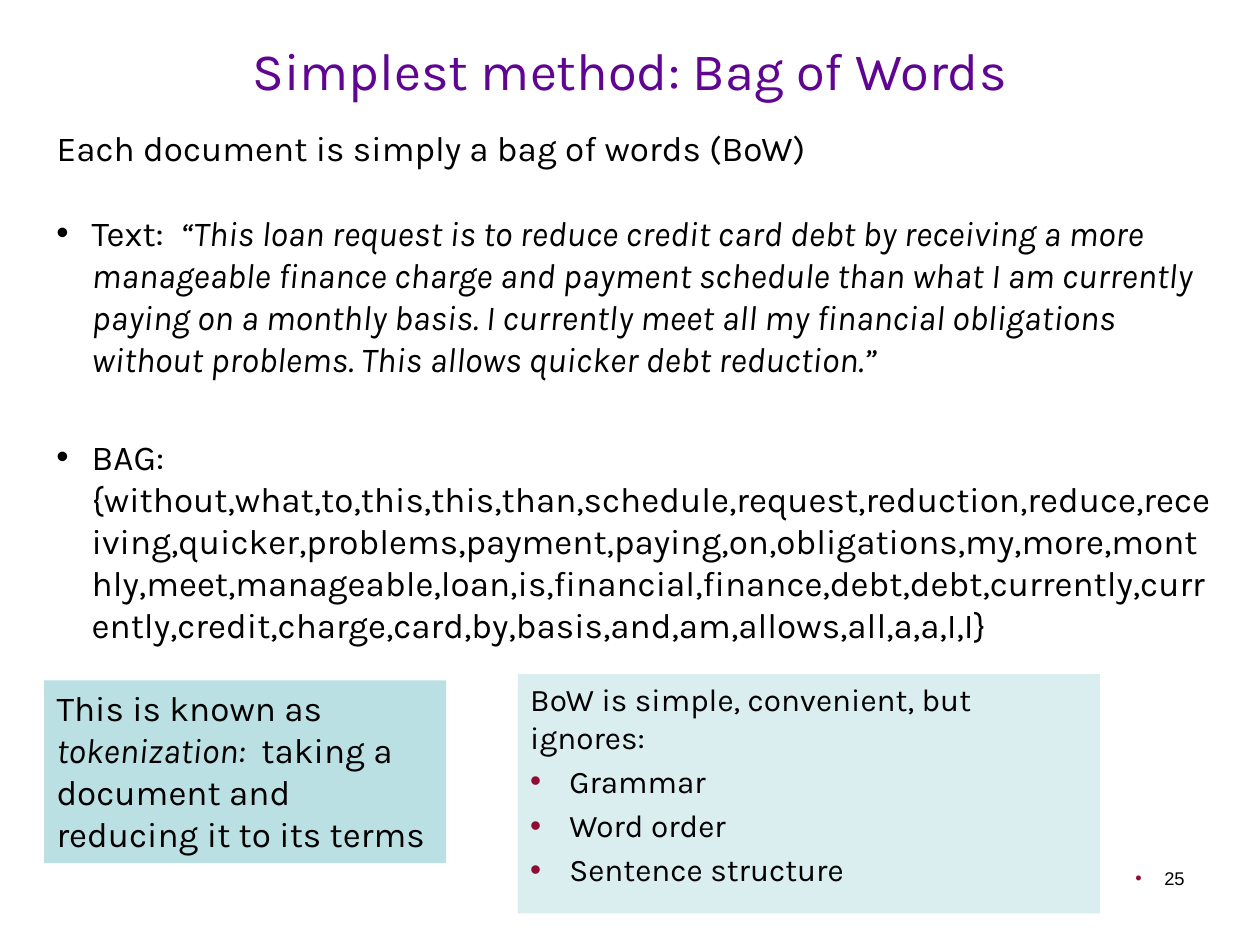
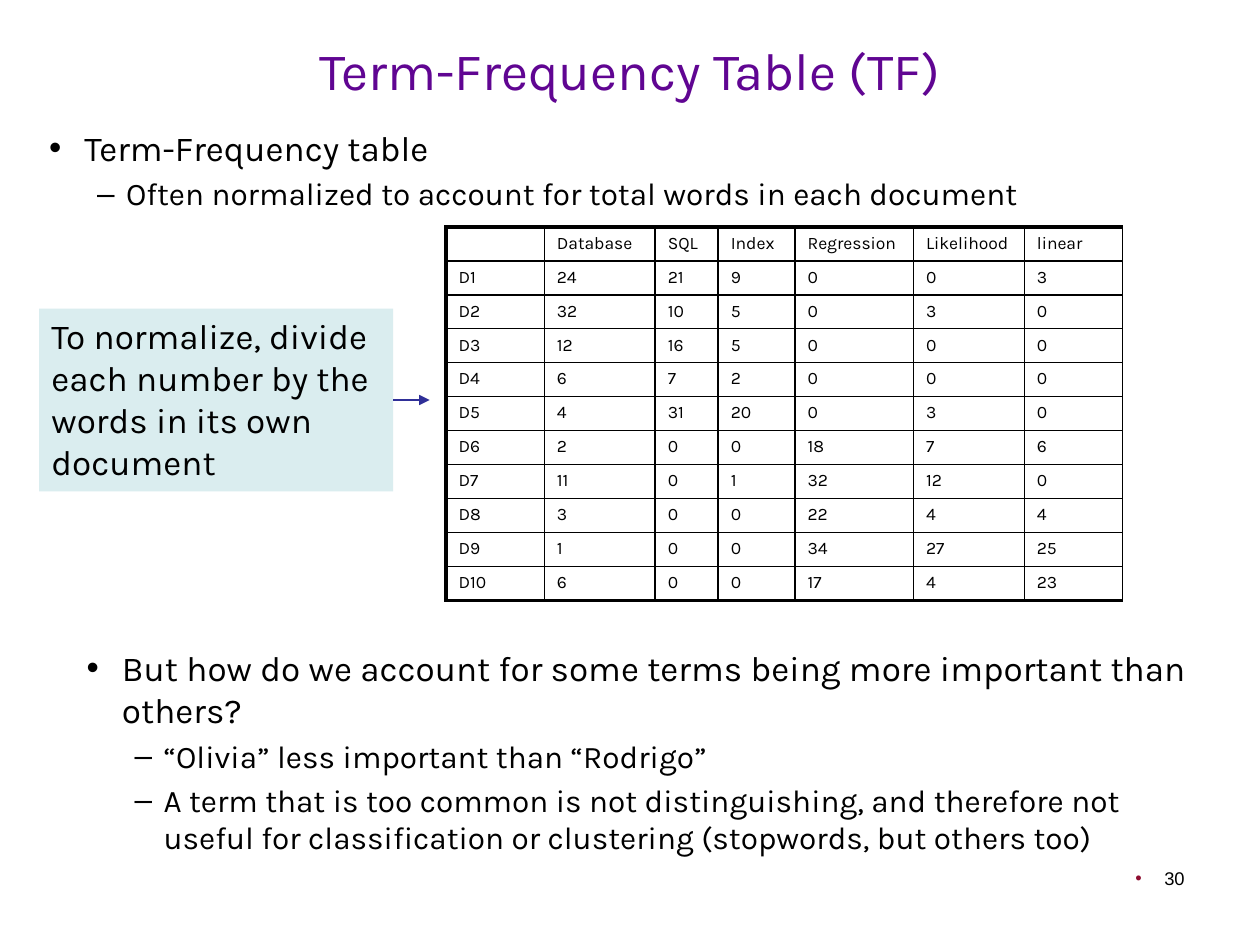
from dataclasses import dataclass

from lxml.etree import SubElement
from pptx import Presentation
from pptx.dml.color import RGBColor
from pptx.enum.shapes import MSO_CONNECTOR, MSO_SHAPE
from pptx.enum.text import MSO_ANCHOR, MSO_AUTO_SIZE, PP_ALIGN
from pptx.oxml import parse_xml
from pptx.oxml.ns import nsdecls, qn
from pptx.util import Inches, Pt

PURPLE, BLACK, RED = "600592", "000000", "8E0D30"
TEAL, PALE_TEAL, ARROW_BLUE = "BBE0E3", "DAEDEF", "2F2F98"


def rgb(hex_colour):
    return RGBColor.from_string(hex_colour)


@dataclass
class ListStyle:
    size: float
    bullet: str = ""
    colour: str = BLACK
    left: float = 0
    hang: float = 0
    level: int = 0


PLAIN = ListStyle(20)
PLAIN_SMALL = ListStyle(18)
DOT = ListStyle(20, "•", BLACK, 0.28, 0.28)
DASH = ListStyle(18, "–", BLACK, 0.61, 0.23, 1)
RED_DOT = ListStyle(18, "•", RED, 0.31, 0.31)
PAGE_NUMBER = ListStyle(10.5, "•", RED, 0.23, 0.23)


class Deck:
    font = "Karla"

    def __init__(self):
        self.presentation = Presentation()
        self.presentation.slide_width = Inches(10)
        self.presentation.slide_height = Inches(7.5)
        self.slide = None

    def place(self, shape, box):
        shape.left, shape.top, shape.width, shape.height = map(Inches, box)

    def format_runs(self, paragraph, size, colour=BLACK, font=None):
        for run in paragraph.runs:
            run.font.name = font or self.font
            run.font.size = Pt(size)
            run.font.color.rgb = rgb(colour)

    def fill_paragraph(self, paragraph, text, style, gap=None, font=None):
        """Write text, with the parts between asterisks in italics."""
        for number, part in enumerate(text.split("*")):
            run = paragraph.add_run()
            run.text = part
            run.font.italic = number % 2 == 1
        self.format_runs(paragraph, style.size, font=font)
        paragraph.level = style.level
        paragraph.alignment = PP_ALIGN.LEFT
        paragraph.space_before = Pt(style.size * 0.2 if gap is None else gap)
        properties = paragraph._p.get_or_add_pPr()
        properties.set("marL", str(Inches(style.left)))
        properties.set("indent", str(-Inches(style.hang)))
        if style.bullet:
            colour = SubElement(properties, qn("a:buClr"))
            SubElement(colour, qn("a:srgbClr"), val=style.colour)
            SubElement(properties, qn("a:buFont"), typeface="Arial")
            SubElement(properties, qn("a:buChar"), char=style.bullet)
        else:
            SubElement(properties, qn("a:buNone"))

    def fill_frame(self, shape, items):
        """Each item is (text, style) or (text, style, gap in points)."""
        frame = shape.text_frame
        frame.word_wrap = True
        frame.auto_size = MSO_AUTO_SIZE.NONE
        frame.vertical_anchor = MSO_ANCHOR.TOP
        for number, item in enumerate(items):
            paragraph = frame.add_paragraph() if number else frame.paragraphs[0]
            self.fill_paragraph(paragraph, *item)

    def start_slide(self, title, page):
        layout = self.presentation.slide_layouts[1]
        self.slide = self.presentation.slides.add_slide(layout)
        shape = self.slide.shapes.title
        self.place(shape, (0.5, 0.15, 9, 0.8))
        shape.text_frame.text = title
        shape.text_frame.auto_size = MSO_AUTO_SIZE.NONE
        shape.text_frame.vertical_anchor = MSO_ANCHOR.MIDDLE
        self.format_runs(shape.text_frame.paragraphs[0], 30, PURPLE)
        self.add_page_number(page)

    def add_page_number(self, page):
        box = self.slide.shapes.add_textbox(*map(Inches, (7.17, 6.83, 2.33, 0.52)))
        box.text_frame.word_wrap = True
        paragraph = box.text_frame.paragraphs[0]
        self.fill_paragraph(paragraph, str(page), PAGE_NUMBER, font="Arial")
        paragraph.alignment = PP_ALIGN.RIGHT

    def fill_body(self, box, items):
        body = self.slide.placeholders[1]
        self.place(body, box)
        self.fill_frame(body, items)

    def add_text(self, box, items):
        self.fill_frame(self.slide.shapes.add_textbox(*map(Inches, box)), items)

    def add_callout(self, box, colour, items):
        shape = self.slide.shapes.add_shape(MSO_SHAPE.RECTANGLE, *map(Inches, box))
        shape.shadow.inherit = False
        shape.fill.solid()
        shape.fill.fore_color.rgb = rgb(colour)
        shape.line.fill.background()
        self.fill_frame(shape, items)
        return shape

    def add_arrow_from(self, shape, length):
        """Draw an arrow to the right from the middle of a shape's right side."""
        start, middle = shape.left + shape.width, shape.top + shape.height // 2
        arrow = self.slide.shapes.add_connector(
            MSO_CONNECTOR.STRAIGHT, start, middle, start + Inches(length), middle)
        arrow.begin_connect(shape, 3)
        arrow.line.color.rgb = rgb(ARROW_BLUE)
        arrow.line.width = Pt(0.75)
        SubElement(arrow.line._get_or_add_ln(), qn("a:tailEnd"), type="triangle")
        SubElement(arrow._element.spPr, qn("a:effectLst"))

    def set_borders(self, cell, widths):
        properties = cell._tc.get_or_add_tcPr()
        for position, (side, width) in enumerate(widths.items()):
            properties.insert(position, parse_xml(
                f'<a:ln{side} {nsdecls("a")} w="{Pt(width)}"><a:solidFill>'
                f'<a:srgbClr val="{BLACK}"/></a:solidFill></a:ln{side}>'))

    def add_table(self, left, top, column_widths, row_height, rows):
        thin, thick = 1, 2.25
        last = len(rows) - 1
        box = (left, top, sum(column_widths), row_height * len(rows))
        frame = self.slide.shapes.add_table(
            len(rows), len(column_widths), *map(Inches, box))
        table = frame.table
        table.first_row = table.horz_banding = False
        for column, width in zip(table.columns, column_widths):
            column.width = Inches(width)
        for r, row in enumerate(rows):
            table.rows[r].height = Inches(row_height)
            for c, value in enumerate(row):
                cell = table.cell(r, c)
                cell.fill.background()
                cell.text_frame.text = str(value)
                paragraph = cell.text_frame.paragraphs[0]
                self.format_runs(paragraph, 10)
                SubElement(paragraph._p, qn("a:endParaRPr"), sz="1000")
                self.set_borders(cell, {
                    "L": thin if c else thick, "R": thin,
                    "T": thin if r else thick, "B": thick if r == last else thin})


def build_bag_of_words(deck):
    deck.start_slide("Simplest method: Bag of Words", 25)
    deck.fill_body((0.35, 0.95, 9, 5.26), [
        ("Each document is simply a bag of words (BoW)", PLAIN)])

    # Sample text and its bag
    deck.add_text((0.35, 1.63, 9.37, 3.71), [
        ("Text:  *“This loan request is to reduce credit card debt by receiving "
         "a more manageable finance charge and payment schedule than what I am "
         "currently paying on a monthly basis. I currently meet all my financial "
         "obligations without problems. This allows quicker debt reduction.”*", DOT),
        ("BAG:{without,what,to,this,this,than,schedule,request,reduction,reduce,"
         "receiving,quicker,problems,payment,paying,on,obligations,my,more,monthly,"
         "meet,manageable,loan,is,financial,finance,debt,debt,currently,currently,"
         "credit,charge,card,by,basis,and,am,allows,all,a,a,I,I}", DOT, 32)])

    # Remarks
    deck.add_callout((4.11, 5.35, 4.62, 1.9), PALE_TEAL, [
        ("BoW is simple, convenient, but ignores:", PLAIN_SMALL),
        ("Grammar", RED_DOT),
        ("Word order", RED_DOT),
        ("Sentence structure", RED_DOT)])
    deck.add_callout((0.35, 5.4, 3.19, 1.45), TEAL, [
        ("This is known as *tokenization: * taking a document and reducing it "
         "to its terms", PLAIN)])


def build_term_frequency(deck):
    deck.start_slide("Term-Frequency Table (TF)", 30)
    deck.fill_body((0.29, 0.95, 8.82, 1.03), [
        ("Term-Frequency table", DOT),
        ("Often normalized to account for total words in each document", DASH)])
    deck.add_text((0.59, 5.08, 9.1, 1.97), [
        ("But how do we account for some terms being more important than others?",
         DOT),
        ("“Olivia” less important than “Rodrigo”", DASH),
        ("A term that is too common is not distinguishing, and therefore not useful "
         "for classification or clustering (stopwords, but others too)", DASH)])

    # Term counts by document
    terms = ["Database", "SQL", "Index", "Regression", "Likelihood", "linear"]
    counts = [
        (24, 21, 9, 0, 0, 3),
        (32, 10, 5, 0, 3, 0),
        (12, 16, 5, 0, 0, 0),
        (6, 7, 2, 0, 0, 0),
        (4, 31, 20, 0, 3, 0),
        (2, 0, 0, 18, 7, 6),
        (11, 0, 1, 32, 12, 0),
        (3, 0, 0, 22, 4, 4),
        (1, 0, 0, 34, 27, 25),
        (6, 0, 0, 17, 4, 23),
    ]
    documents = [(f"D{number}", *row) for number, row in enumerate(counts, 1)]
    deck.add_table(3.54, 1.8, [0.78, 0.88, 0.5, 0.61, 0.94, 0.88, 0.78], 0.27,
                   [("", *terms), *documents])

    # Normalization hint
    hint = deck.add_callout((0.31, 2.45, 2.81, 1.45), PALE_TEAL, [
        ("To normalize, divide each number by the words in its own document", PLAIN)])
    deck.add_arrow_from(hint, 0.29)


def main():
    deck = Deck()
    build_bag_of_words(deck)
    build_term_frequency(deck)
    deck.presentation.save("out.pptx")


if __name__ == "__main__":
    main()
